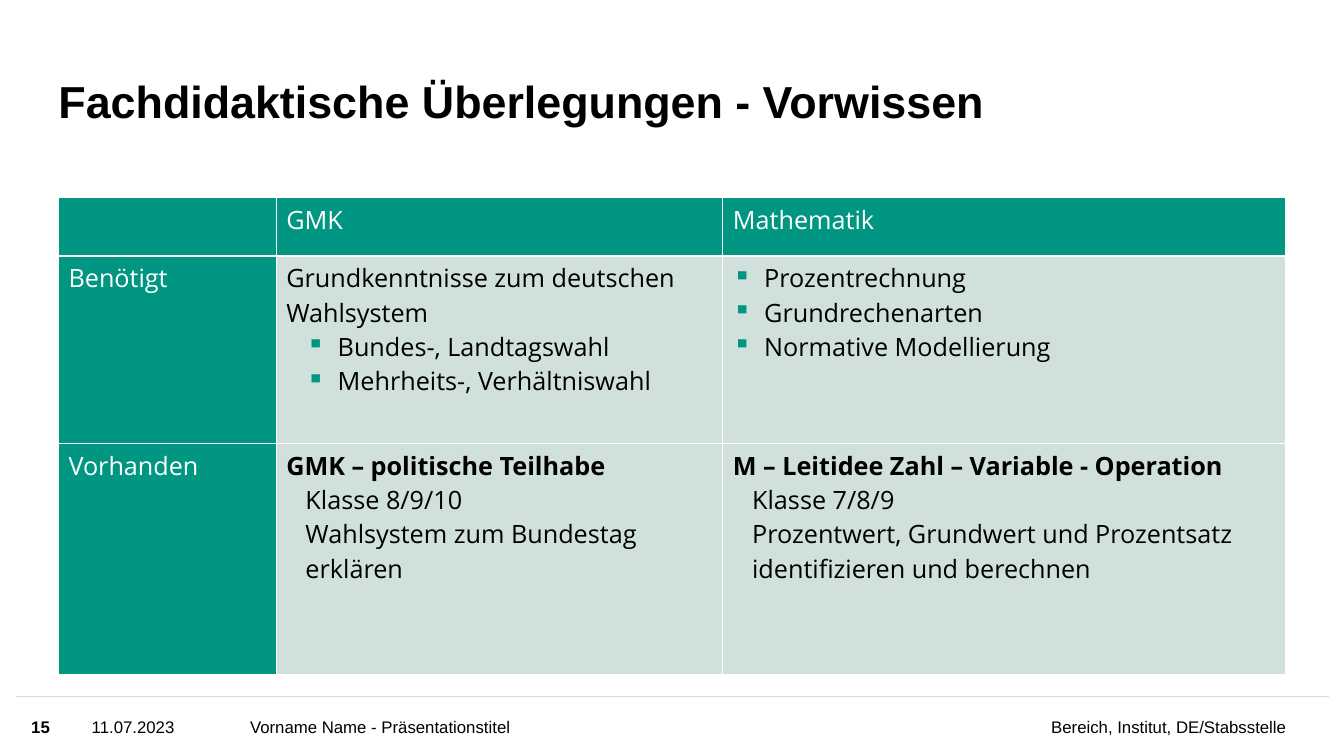
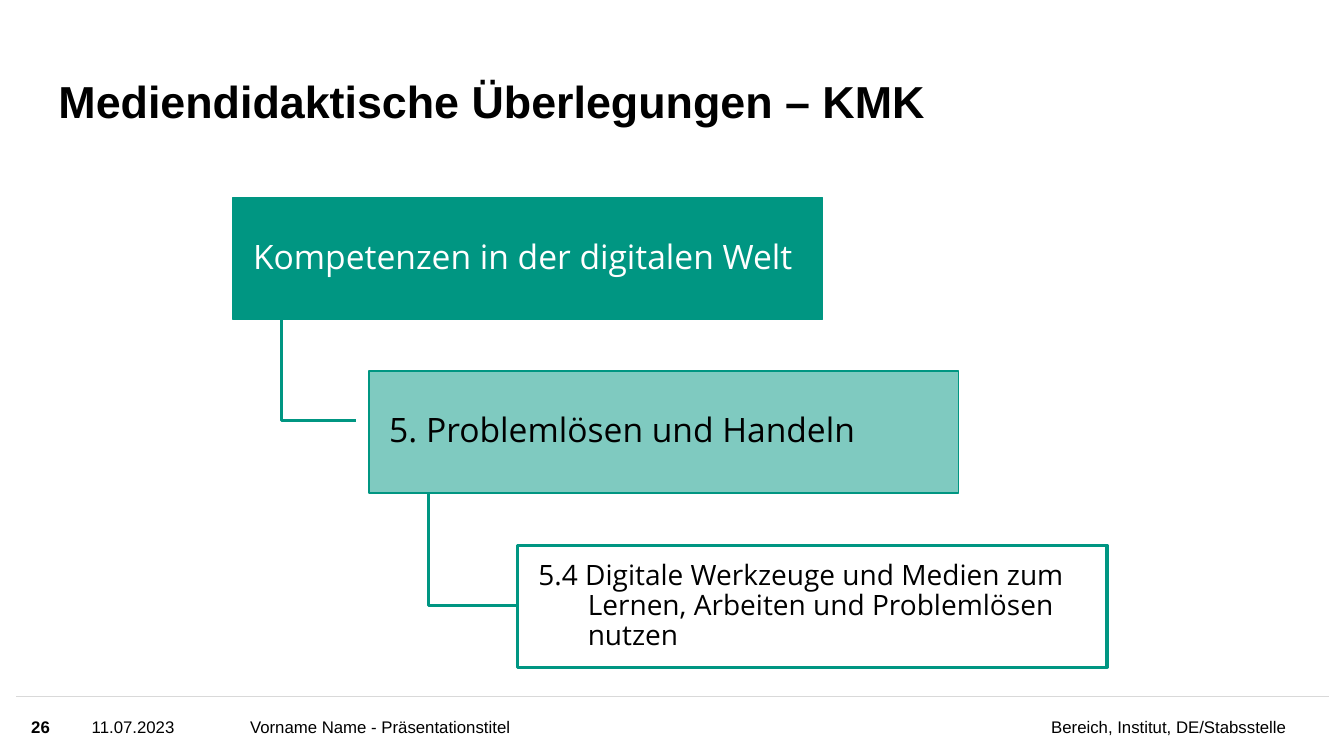
"""Two teaching slides: a table of prior knowledge and a staircase of skills."""
from lxml import etree
from pptx import Presentation
from pptx.dml.color import RGBColor
from pptx.enum.shapes import MSO_CONNECTOR, MSO_SHAPE
from pptx.enum.text import MSO_ANCHOR, PP_ALIGN
from pptx.oxml.ns import qn
from pptx.util import Inches, Pt

LEFT, RIGHT = PP_ALIGN.LEFT, PP_ALIGN.RIGHT
MIDDLE, BOTTOM = MSO_ANCHOR.MIDDLE, MSO_ANCHOR.BOTTOM
RECT, LINE = MSO_SHAPE.RECTANGLE, MSO_CONNECTOR.STRAIGHT
HEAD, BODY = "Arial", "Open Sans"
HEX = {"green": "009682", "pale": "D0E0DC", "grey": "D9D9D9",
       "white": "FFFFFF", "black": "000000"}
RGB = {name: RGBColor.from_string(code) for name, code in HEX.items()}


def write(para, text, size, font, color="black", bold=False, left=0, first=0):
    """Add the lines of a text to a paragraph with its indents."""
    props = para._p.get_or_add_pPr()
    props.set("marL", str(int(Inches(left))))
    props.set("indent", str(int(Inches(first))))
    for i, part in enumerate(text.split("\n")):
        if i:
            para.add_line_break()
        run = para.add_run()
        run.text = part
        run.font.size = Pt(size)
        run.font.name = font
        run.font.bold = bold
        run.font.color.rgb = RGB[color]


def label(slide, x, y, w, h, text, size, bold=False, align=LEFT, anchor=MIDDLE):
    """Add a text box without margins."""
    frame = slide.shapes.add_textbox(Inches(x), Inches(y), Inches(w), Inches(h)).text_frame
    frame.word_wrap = True
    frame.vertical_anchor = anchor
    frame.margin_left = frame.margin_right = frame.margin_top = frame.margin_bottom = 0
    para = frame.paragraphs[0]
    para.alignment = align
    para.line_spacing = 0.9 if anchor == BOTTOM else 1.0
    write(para, text, size, HEAD, bold=bold)


deck = Presentation()
deck.slide_width, deck.slide_height = Inches(13.33), Inches(7.5)

slides = []
for title, number in [("Fachdidaktische Überlegungen - Vorwissen", "15"),
                      ("Mediendidaktische Überlegungen – KMK", "26")]:
    slide = deck.slides.add_slide(deck.slide_layouts[6])
    slides.append(slide)
    label(slide, 0.58, 0.43, 10.02, 0.84, title, 32, True, anchor=BOTTOM)
    rule = slide.shapes.add_connector(LINE, Inches(0.16), Inches(6.91), Inches(13.18), Inches(6.91))
    rule.line.color.rgb = RGB["grey"]
    rule.line.width = Pt(1)
    etree.SubElement(rule._element.spPr, qn("a:effectLst"))
    for x, w, text, bold, align in [
            (0.31, 0.48, number, True, LEFT),
            (0.91, 1.5, "11.07.2023", False, LEFT),
            (2.48, 5.37, "Vorname Name - Präsentationstitel", False, LEFT),
            (8.03, 4.73, "Bereich, Institut, DE/Stabsstelle", False, RIGHT)]:
        label(slide, x, 6.92, w, 0.58, text, 12, bold, align)
know, stairs = slides

PLAIN = {}
STRONG = {"bold": True}
HANG = {"bold": True, "left": 0.49, "first": -0.49}
INSET = {"left": 0.19}
ITEM = {"left": 0.31, "first": -0.31}
SUB = {"left": 0.51, "first": -0.31}
rows = [
    [[], [("GMK", PLAIN)], [("Mathematik", PLAIN)]],
    [[("Benötigt", PLAIN)],
     [("Grundkenntnisse zum deutschen Wahlsystem", PLAIN),
      ("Bundes-, Landtagswahl", SUB),
      ("Mehrheits-, Verhältniswahl", SUB)],
     [("Prozentrechnung", ITEM),
      ("Grundrechenarten", ITEM),
      ("Normative Modellierung", ITEM)]],
    [[("Vorhanden", PLAIN)],
     [("GMK – politische Teilhabe", STRONG),
      ("Klasse 8/9/10\nWahlsystem zum Bundestag erklären", INSET)],
     [("M – Leitidee Zahl – Variable - Operation", HANG),
      ("Klasse 7/8/9", INSET),
      ("Prozentwert, Grundwert und Prozentsatz identifizieren und berechnen", INSET)]],
]
table = know.shapes.add_table(3, 3, Inches(0.58), Inches(1.96), Inches(12.17), Inches(4.73)).table
table.first_col = True
table.horz_banding = False
for col, width in zip(table.columns, [2.16, 4.43, 5.58]):
    col.width = Inches(width)
for row, height in zip(table.rows, [0.58, 1.86, 2.29]):
    row.height = Inches(height)
for r, row in enumerate(rows):
    for c, lines in enumerate(row):
        cell = table.cell(r, c)
        head = r == 0 or c == 0
        props = cell._tc.get_or_add_tcPr()
        for side in ("lnL", "lnR", "lnT", "lnB"):
            edge = etree.SubElement(props, qn("a:" + side), w=str(int(Pt(1))))
            paint = etree.SubElement(edge, qn("a:solidFill"))
            etree.SubElement(paint, qn("a:srgbClr"), val=HEX["white"])
        cell.fill.solid()
        cell.fill.fore_color.rgb = RGB["green" if head else "pale"]
        frame = cell.text_frame
        for i, (text, style) in enumerate(lines):
            para = frame.add_paragraph() if i else frame.paragraphs[0]
            if style in (ITEM, SUB):
                props = para._p.get_or_add_pPr()
                tint = etree.SubElement(props, qn("a:buClr"))
                etree.SubElement(tint, qn("a:srgbClr"), val=HEX["green"])
                etree.SubElement(props, qn("a:buChar"), char="▪")
            write(para, text, 18, BODY, "white" if head else "black", **style)

for points in [[(2.79, 3.17), (2.79, 4.17), (3.53, 4.17)],
               [(4.25, 4.9), (4.25, 6.01), (5.13, 6.01)]]:
    start, *rest = [(Inches(x), Inches(y)) for x, y in points]
    build = stairs.shapes.build_freeform(*start)
    build.add_line_segments(rest, close=False)
    elbow = build.convert_to_shape()
    elbow.shadow.inherit = False
    elbow.fill.background()
    elbow.line.color.rgb = RGB["green"]
    elbow.line.width = Pt(2.25)

for x, y, text, size, color, alpha, width, left, first in [
        (2.31, 1.96, "Kompetenzen in der digitalen Welt", 24, "white", 100, 1, 0.19, 0),
        (3.66, 3.68, "5. Problemlösen und Handeln", 24, "black", 50, 1, 0.19, 0),
        (5.13, 5.41, "5.4 Digitale Werkzeuge und Medien zum Lernen, Arbeiten und "
         "Problemlösen nutzen", 20, "black", 0, 2.25, 0.69, -0.49)]:
    step = stairs.shapes.add_shape(RECT, Inches(x), Inches(y), Inches(5.85), Inches(1.21))
    step.shadow.inherit = False
    step.line.color.rgb = RGB["green"]
    step.line.width = Pt(width)
    if alpha:
        step.fill.solid()
        step.fill.fore_color.rgb = RGB["green"]
        tint = step._element.spPr.find(qn("a:solidFill"))[0]
        etree.SubElement(tint, qn("a:alpha"), val=str(alpha * 1000))
    else:
        step.fill.background()
    frame = step.text_frame
    frame.word_wrap = True
    frame.vertical_anchor = MIDDLE
    frame.margin_left = frame.margin_right = Inches(0.01)
    frame.margin_top = frame.margin_bottom = Inches(0.01)
    para = frame.paragraphs[0]
    para.alignment = LEFT
    para.line_spacing = 0.9
    write(para, text, size, BODY, color, left=left, first=first)

deck.save("out.pptx")
